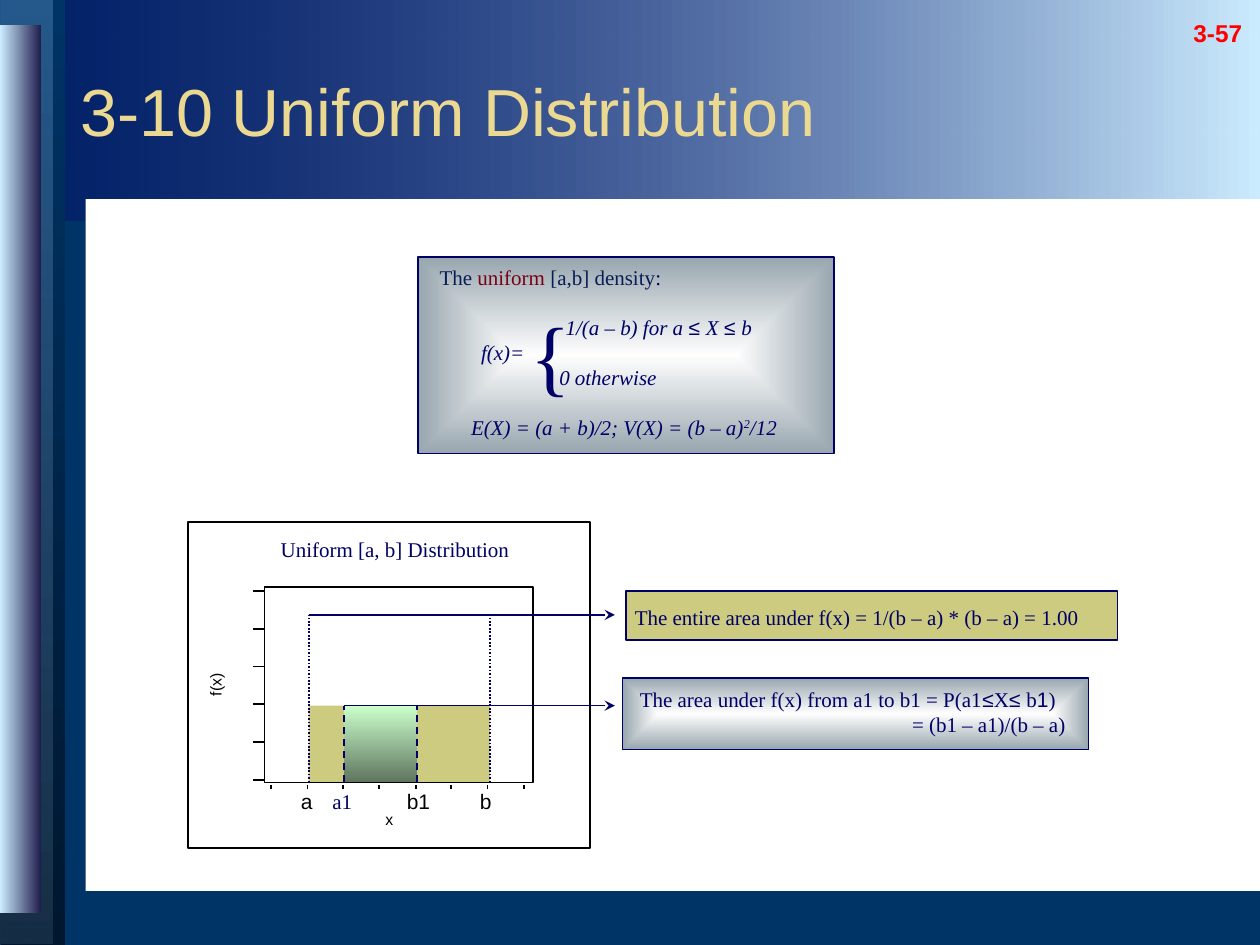
"""Build the uniform distribution slide with its density, chart and area notes."""
import pptx
import pptx.dml.color
import pptx.enum.dml
import pptx.enum.shapes
import pptx.enum.text
import pptx.oxml
import pptx.oxml.ns
import pptx.util
from lxml import etree

WIDTH, HEIGHT = 10, 7.5
NAVY, BLACK, OLIVE = "000066", "000000", "CDCB7F"
SERIF, SANS = "Times New Roman", "Arial"
STEEL = [("FEFEFE", 100), ("98A6AE", 100)]

BACKDROP = [
    ((0, 0, WIDTH, 1.75), [("CCECFF", 100), (NAVY, 38)], 180),
    ((0.01, 0, 0.51, HEIGHT), [("003366", 100), ("00172F", 100)], 270),
    ((-0.02, -0.01, 0.44, HEIGHT), [("336699", 73), ("172F46", 100)], 270),
    ((0, 0.2, 0.33, 7.05), [("1E1B4B", 100), ("CCECFF", 100)], 180),
]

LE = ("≤", {"font": SANS})
LE_SPACE = ("≤ ", {"font": SANS})
DENSITY = [
    {"runs": [("The ", {"color": "081D58"}), ("uniform", {"color": "790015"}),
              (" [a,b] density", {"color": "081D58"}), (":", {})]},
    {"runs": [("1/(a – b) for a ", {}), LE_SPACE, ("X ", {}), LE_SPACE, ("b", {})],
     "italic": True, "indent": 1, "before": 14},
    {"runs": [("f(x)=", {})], "italic": True, "indent": 0.33},
    {"runs": [("0 otherwise", {})], "italic": True, "indent": 0.95},
    {"runs": [("E(X) = (a + b)/2; V(X) = (b – a)", {}), ("2", {"baseline": 30}), ("/12", {})],
     "italic": True, "indent": 0.25, "before": 14},
]
ENTIRE_AREA = "The entire area under f(x) = 1/(b – a) * (b – a) = 1.00"
PARTIAL_AREA = [
    {"runs": [("The area under f(x) from a1 to b1 = P(a1", {}), LE, ("X", {}), LE_SPACE,
              ("b", {}), ("1", {"font": SANS}), (")", {})]},
    {"runs": [("= (b1 – a1)/(b – a)", {})], "indent": 2.16},
]

PLOT_LEFT, PLOT_TOP, PLOT_WIDTH, PLOT_HEIGHT = 2.1, 4.66, 2.13, 1.55
AXIS_Y = PLOT_TOP + PLOT_HEIGHT
DENSITY_Y, TOP_Y = 5.6, 4.88
ARROW_END = 4.88
BOUND = {"a": 2.45, "a1": 2.73, "b1": 3.31, "b": 3.89}
AREAS = [("a", "a1", OLIVE), ("a1", "b1", [("CCFFCC", 100), ("5E755E", 100)]), ("b1", "b", OLIVE)]
BOUND_LABELS = [("a", 2.29, 0.25, SANS, BLACK), ("a1", 2.54, 0.42, SERIF, NAVY),
                ("b1", 3.13, 0.42, SANS, BLACK), ("b", 3.71, 0.25, SANS, BLACK)]
X_TICKS = [2.15 + 0.287 * i for i in range(8)]
Y_TICKS = [4.69 + 0.3 * i for i in range(6)]

deck = pptx.Presentation()
deck.slide_width, deck.slide_height = pptx.util.Inches(WIDTH), pptx.util.Inches(HEIGHT)
slide = deck.slides.add_slide(deck.slide_layouts[6])


def rgb(code):
    return pptx.dml.color.RGBColor.from_string(code)


def inches(values):
    return [pptx.util.Inches(round(v, 2)) for v in values]


def paint_gradient(fill, colors, angle):
    fill.gradient()
    if angle is not None:
        fill.gradient_angle = angle
    for stop, (code, opacity) in zip(fill.gradient_stops, colors):
        stop.color.rgb = rgb(code)
    gradient = fill._xPr.find(pptx.oxml.ns.qn("a:gradFill"))
    for node, (code, opacity) in zip(gradient.iter(pptx.oxml.ns.qn("a:srgbClr")), colors):
        if opacity < 100:
            etree.SubElement(node, pptx.oxml.ns.qn("a:alpha"), val=str(opacity * 1000))
    if angle is None:
        linear = gradient.find(pptx.oxml.ns.qn("a:lin"))
        center = pptx.oxml.parse_xml(
            f'<a:path {pptx.oxml.ns.nsdecls("a")} path="rect">'
            '<a:fillToRect l="50000" t="50000" r="50000" b="50000"/></a:path>')
        gradient.replace(linear, center)


def add_rect(box, fill=None, line=None, angle=None):
    rect = slide.shapes.add_shape(pptx.enum.shapes.MSO_SHAPE.RECTANGLE, *inches(box))
    rect.shadow.inherit = False
    if fill is None:
        rect.fill.background()
    elif isinstance(fill, str):
        rect.fill.solid()
        rect.fill.fore_color.rgb = rgb(fill)
    else:
        paint_gradient(rect.fill, fill, angle)
    if line:
        rect.line.color.rgb = rgb(line)
        rect.line.width = pptx.util.Pt(1)
    else:
        rect.line.fill.background()


def add_line(start, end, color, dash=None, arrow=False):
    line = slide.shapes.add_connector(
        pptx.enum.shapes.MSO_CONNECTOR.STRAIGHT, *inches(start + end))
    line.line.color.rgb = rgb(color)
    line.line.width = pptx.util.Pt(1)
    if dash:
        line.line.dash_style = dash
    if arrow:
        etree.SubElement(line.line._get_or_add_ln(), pptx.oxml.ns.qn("a:tailEnd"), type="stealth")
    etree.SubElement(line._element.spPr, pptx.oxml.ns.qn("a:effectLst"))


def add_text(box, content, size=12, font=SERIF, color=NAVY, bold=False,
             align=pptx.enum.text.PP_ALIGN.LEFT, anchor=pptx.enum.text.MSO_ANCHOR.TOP, turn=0):
    label = slide.shapes.add_textbox(*inches(box))
    label.rotation = turn
    frame = label.text_frame
    frame.word_wrap = True
    frame.vertical_anchor = anchor
    lines = [{"runs": [(content, {})]}] if isinstance(content, str) else content
    for i, line in enumerate(lines):
        paragraph = frame.paragraphs[0] if i == 0 else frame.add_paragraph()
        paragraph.alignment = align
        if "before" in line:
            paragraph.space_before = pptx.util.Pt(line["before"])
        if "indent" in line:
            paragraph._p.get_or_add_pPr().set("marL", str(pptx.util.Inches(line["indent"])))
        paragraph.font.size = pptx.util.Pt(size)
        paragraph.font.name = font
        paragraph.font.bold = bold
        paragraph.font.italic = line.get("italic", False)
        paragraph.font.color.rgb = rgb(color)
        for words, style in line["runs"]:
            run = paragraph.add_run()
            run.text = words
            if "font" in style:
                run.font.name = style["font"]
            if "color" in style:
                run.font.color.rgb = rgb(style["color"])
            if "baseline" in style:
                run._r.get_or_add_rPr().set("baseline", str(style["baseline"] * 1000))


slide.background.fill.solid()
slide.background.fill.fore_color.rgb = rgb("003366")
for box, colors, angle in BACKDROP:
    add_rect(box, colors, angle=angle)
add_rect((0.68, 1.58, 9.32, 5.49), "FFFFFF")
add_text((9.29, -0.13, 0.75, 0.56), [{"runs": [("3-57", {"baseline": -25})]}], 24, SANS,
         "FF0000", True, pptx.enum.text.PP_ALIGN.CENTER)
add_text((0.54, 0.25, 9.27, 1.25), "3-10 Uniform Distribution", 38, SANS, "EBD891",
         anchor=pptx.enum.text.MSO_ANCHOR.MIDDLE)

add_rect((3.32, 2.04, 3.3, 1.56), STEEL, NAVY)
add_text((3.39, 2.05, 2.98, 1.5), DENSITY)
add_text((4.11, 2.35, 0.52, 0.9), "{", 48)

add_rect((1.49, 4.14, 3.19, 2.59), line=BLACK)
add_text((2.13, 4.21, 2.17, 0.3), "Uniform [a, b] Distribution")
for left, right, fill in AREAS:
    add_rect((BOUND[left], DENSITY_Y, BOUND[right] - BOUND[left], AXIS_Y - DENSITY_Y), fill, angle=270)
add_rect((PLOT_LEFT, PLOT_TOP, PLOT_WIDTH, PLOT_HEIGHT), line=BLACK)
for x in X_TICKS:
    add_line((x, 6.23), (x, 6.26), BLACK)
for y in Y_TICKS:
    add_line((PLOT_LEFT, y), (2.01, y), BLACK)
for name, left, width, font, color in BOUND_LABELS:
    add_text((left, AXIS_Y, width, 0.3), name, font=font, color=color)
add_text((2.96, 6.38, 0.26, 0.25), "x", 9, SANS, BLACK)
add_text((1.46, 5.31, 0.5, 0.25), "f(x)", 9, SANS, BLACK,
         align=pptx.enum.text.PP_ALIGN.CENTER, turn=270)

for name, top, dash in [("a", TOP_Y, "ROUND_DOT"), ("b", TOP_Y, "ROUND_DOT"),
                        ("a1", DENSITY_Y, "DASH"), ("b1", DENSITY_Y, "DASH")]:
    add_line((BOUND[name], AXIS_Y), (BOUND[name], top), NAVY, pptx.enum.dml.MSO_LINE[dash])
for name, y in [("a", TOP_Y), ("a1", DENSITY_Y)]:
    add_line((BOUND[name], y), (ARROW_END, y), NAVY, arrow=True)

add_rect((4.97, 4.69, 3.9, 0.39), OLIVE, NAVY)
add_text((4.94, 4.75, 4.02, 0.3), ENTIRE_AREA)
add_rect((4.94, 5.38, 3.7, 0.57), STEEL, NAVY)
add_text((4.98, 5.4, 3.59, 0.7), PARTIAL_AREA)

deck.save("out.pptx")
